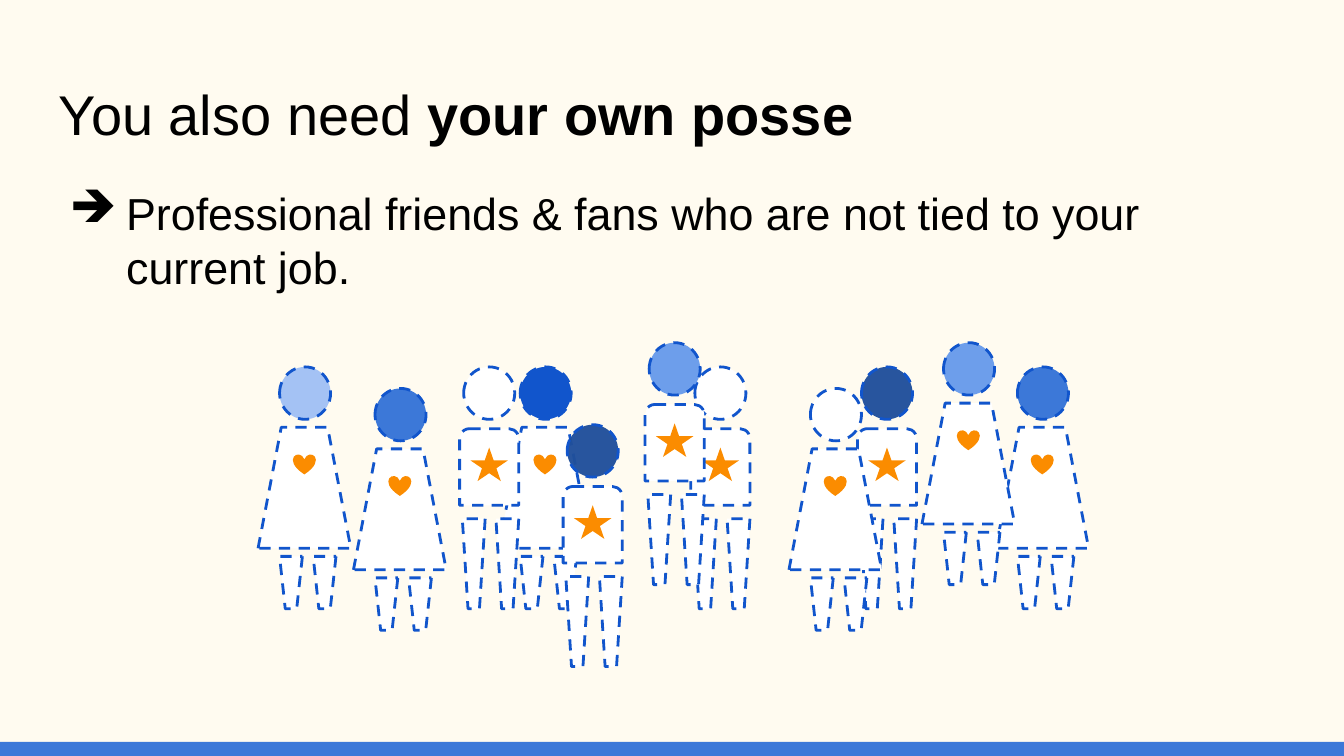
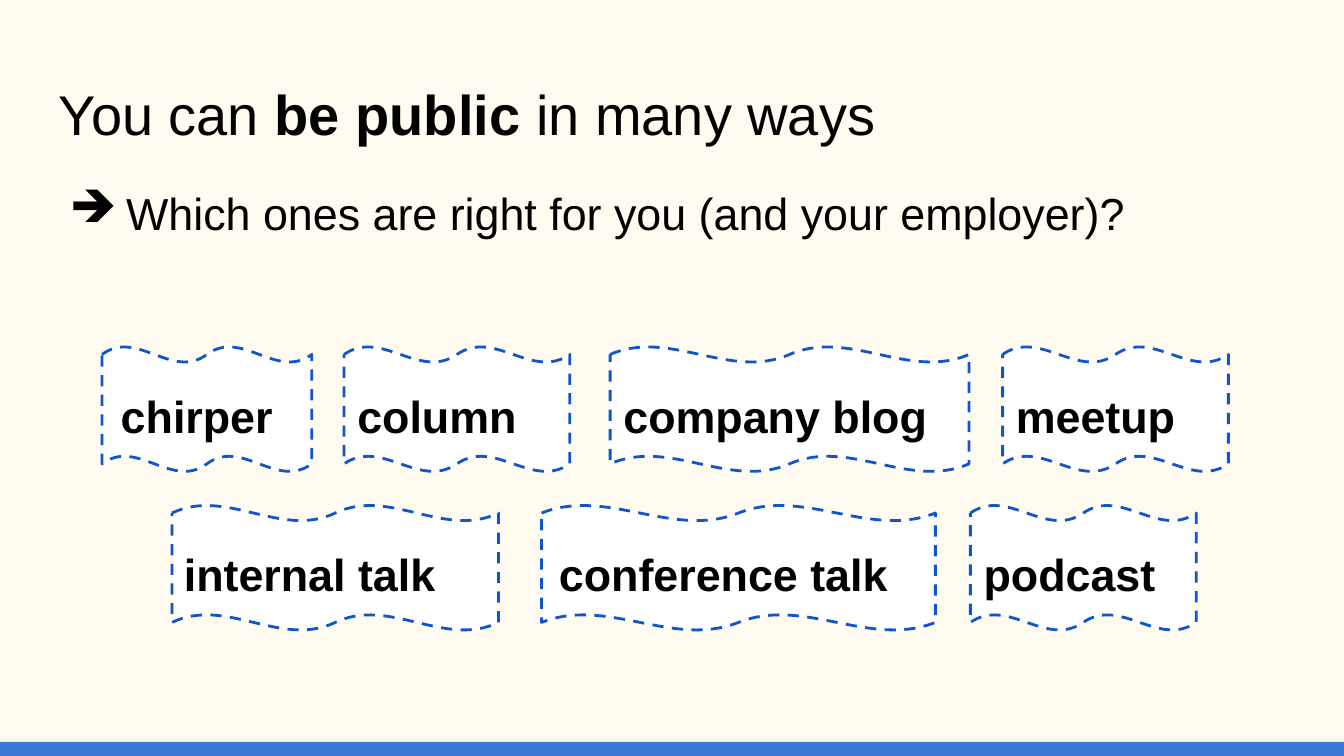
from dataclasses import dataclass
from typing import NamedTuple

from lxml.etree import SubElement
from pptx import Presentation
from pptx.dml.color import RGBColor
from pptx.enum.dml import MSO_LINE_DASH_STYLE as Dash
from pptx.enum.shapes import MSO_SHAPE as Preset
from pptx.enum.text import MSO_ANCHOR as Anchor, PP_ALIGN as Align
from pptx.oxml.ns import qn
from pptx.util import Pt

PX = 9144  # EMU in one px, 100 px to the inch


@dataclass(frozen=True)
class Theme:
    paper: str = "FFFBF0"
    band: str = "3C78D8"
    outline: str = "1155CC"
    white: str = "FFFFFF"
    badge: str = "FB8C00"
    ink: str = "000000"
    pale: str = "A4C2F4"
    sky: str = "6D9EEB"
    navy: str = "204F9B"
    font: str = "Arial"
    title_size: int = 30
    body_size: int = 24
    dash_width: float = 1.5
    navy_alpha: int = 96


THEME = Theme()


class Box(NamedTuple):
    left: int
    top: int
    width: int
    height: int

    def inner(self, left, top, width, height):
        """Return a box placed relative to this box's top left corner."""
        return Box(self.left + left, self.top + top, width, height)

    def emu(self):
        return [length * PX for length in self]


TITLE_BOX = Box(34, 49, 932, 67)
BODY_BOX = Box(34, 128, 932, 105)
BAND_BOX = Box(0, 552, 1000, 11)
TEXT_INSET = 10


def add_preset(shapes, preset, box, color, dashed=True):
    shape = shapes.add_shape(preset, *box.emu())
    shape.shadow.inherit = False
    shape.fill.solid()
    shape.fill.fore_color.rgb = RGBColor.from_string(color)
    if dashed:
        shape.line.color.rgb = RGBColor.from_string(THEME.outline)
        shape.line.width = Pt(THEME.dash_width)
        shape.line.dash_style = Dash.DASH
    else:
        shape.line.fill.background()
    return shape


def set_alpha(shape, percent):
    color = shape._element.spPr.find(qn("a:solidFill"))[0]
    SubElement(color, qn("a:alpha"), val=str(percent * 1000))


def add_text(shapes, box, spans, size):
    """Add a top-anchored text box from (text, bold) spans; return its paragraph."""
    frame = shapes.add_textbox(*box.emu()).text_frame
    frame.word_wrap = True
    frame.vertical_anchor = Anchor.TOP
    frame.margin_left = frame.margin_right = TEXT_INSET * PX
    frame.margin_top = frame.margin_bottom = TEXT_INSET * PX
    para = frame.paragraphs[0]
    para.alignment = Align.LEFT
    for text, bold in spans:
        span = para.add_run()
        span.text = text
        span.font.name = THEME.font
        span.font.size = Pt(size)
        span.font.bold = bold
        span.font.color.rgb = RGBColor.from_string(THEME.ink)
    return para


def indent(para, left, first_line=0):
    properties = para._p.get_or_add_pPr()
    properties.set("marL", str(left * PX))
    properties.set("indent", str(first_line * PX))
    return properties


def add_arrow_bullet(para):
    properties = indent(para, 50, -42)
    color = SubElement(properties, qn("a:buClr"))
    SubElement(color, qn("a:srgbClr"), val=THEME.ink)
    SubElement(properties, qn("a:buChar"), char="➔")


def add_page(deck, title_spans, statement):
    """Add a page with band, title and one arrow bullet."""
    page = deck.slides.add_slide(deck.slide_layouts[6])
    page.background.fill.solid()
    page.background.fill.fore_color.rgb = RGBColor.from_string(THEME.paper)
    add_preset(page.shapes, Preset.RECTANGLE, BAND_BOX, THEME.band, dashed=False)
    add_text(page.shapes, TITLE_BOX, title_spans, THEME.title_size)
    para = add_text(page.shapes, BODY_BOX, [(statement, False)], THEME.body_size)
    para.space_after = Pt(10)
    add_arrow_bullet(para)
    return page


def add_legs(shapes, box):
    for step in (0, 25):
        leg = add_preset(shapes, Preset.TRAPEZOID,
                         box.inner(step, 0, box.width, box.height), THEME.white)
        leg.rotation = 180


def add_dress(shapes, head):
    add_preset(shapes, Preset.TRAPEZOID, head.inner(-16, 45, 69, 90), THEME.white)
    add_legs(shapes, head.inner(0, 141, 17, 39))
    add_preset(shapes, Preset.HEART, head.inner(10, 65, 17, 15), THEME.badge,
               dashed=False)


def add_shirt(shapes, head):
    add_legs(shapes, head.inner(-1, 113, 17, 67))
    add_preset(shapes, Preset.ROUND_2_SAME_RECTANGLE,
               head.inner(-3, 46, 44, 57), THEME.white)
    add_preset(shapes, Preset.STAR_5_POINT, head.inner(5, 60, 28, 25), THEME.badge,
               dashed=False)


def add_person(page, left, top, color, add_outfit):
    shapes = page.shapes.add_group_shape().shapes
    head = Box(left, top, 38, 39)
    face = add_preset(shapes, Preset.OVAL, head, color)
    if color == THEME.navy:
        set_alpha(face, THEME.navy_alpha)
    add_outfit(shapes, head)


# Head left, head top, head colour, outfit; from back to front
POSSE = [
    (387, 273, THEME.outline, add_dress),
    (345, 273, THEME.white, add_shirt),
    (208, 273, THEME.pale, add_dress),
    (422, 316, THEME.navy, add_shirt),
    (641, 273, THEME.navy, add_shirt),
    (517, 273, THEME.white, add_shirt),
    (483, 255, THEME.sky, add_shirt),
    (279, 289, THEME.band, add_dress),
    (757, 273, THEME.band, add_dress),
    (702, 255, THEME.sky, add_dress),
    (603, 289, THEME.white, add_dress),
]


def add_posse_page(deck):
    page = add_page(
        deck,
        [("You also need ", False), ("your own posse", True)],
        "Professional friends & fans who are not tied to your current job.",
    )
    for person in POSSE:
        add_person(page, *person)


def add_sign(page, box, text, text_left, text_width, text_indent):
    shapes = page.shapes.add_group_shape().shapes
    add_preset(shapes, Preset.DOUBLE_WAVE, box, THEME.white)
    para = add_text(shapes, box.inner(text_left, 15, text_width, box.height),
                    [(text, True)], THEME.body_size)
    para.line_spacing = 1.15
    para.space_after = Pt(16)
    indent(para, text_indent)


SIGN_HEIGHT = 93
# Row top: (text, sign left, sign width, text left, text width, text indent)
SIGN_ROWS = {
    258: [
        ("chirper", 76, 156, -5, 161, 9),
        ("column", 256, 168, 0, 178, 0),
        ("company blog", 454, 267, -9, 282, 9),
        ("meetup", 746, 168, 0, 178, 0),
    ],
    376: [
        ("internal talk", 128, 243, -10, 253, 9),
        ("conference talk", 403, 293, -6, 299, 9),
        ("podcast", 722, 168, 0, 178, 0),
    ],
}


def add_channels_page(deck):
    page = add_page(
        deck,
        [("You can ", False), ("be public", True), (" in many ways", False)],
        "Which ones are right for you (and your employer)?",
    )
    for top, signs in SIGN_ROWS.items():
        for text, left, width, *text_place in signs:
            add_sign(page, Box(left, top, width, SIGN_HEIGHT), text, *text_place)


def main():
    deck = Presentation()
    deck.slide_width = 1000 * PX
    deck.slide_height = deck.slide_width * 9 // 16
    add_posse_page(deck)
    add_channels_page(deck)
    deck.save("out.pptx")


if __name__ == "__main__":
    main()
